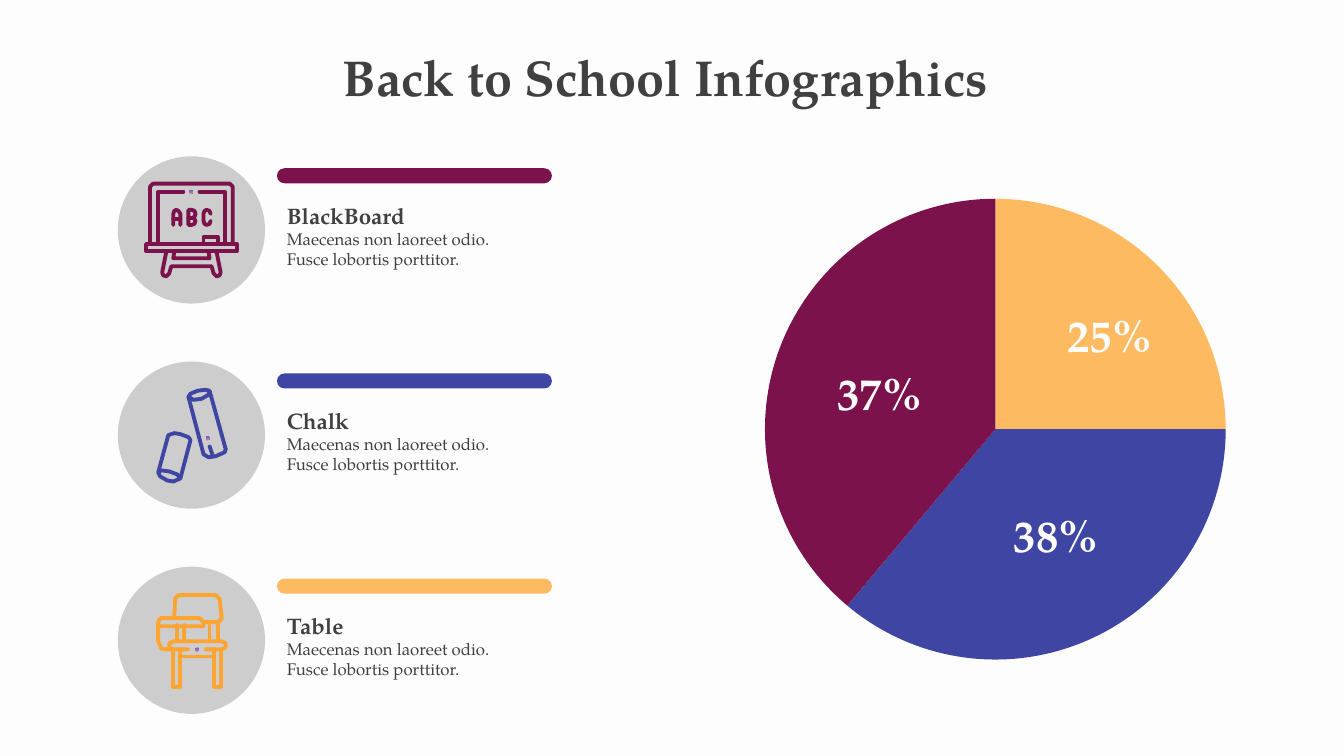
from dataclasses import dataclass

from lxml import etree
from pptx import Presentation
from pptx.dml.color import RGBColor
from pptx.enum.shapes import MSO_SHAPE
from pptx.enum.text import MSO_ANCHOR, PP_ALIGN
from pptx.oxml.ns import qn
from pptx.util import Cm, Pt

OVAL, PILL, PIE = MSO_SHAPE.OVAL, MSO_SHAPE.ROUNDED_RECTANGLE, MSO_SHAPE.PIE
LEFT, CENTER, MIDDLE = PP_ALIGN.LEFT, PP_ALIGN.CENTER, MSO_ANCHOR.MIDDLE


@dataclass(frozen=True)
class Theme:
    font: str = "TeX Gyre Pagella"
    paper: str = "FDFDFD"
    ink: str = "404040"
    badge: str = "BEBEBE"
    plum: str = "7C124C"
    indigo: str = "3E45A2"
    amber: str = "FDA530"
    dot: tuple = ("645CA7", "D77EAD")
    soft: int = 76
    solid: int = 100
    title: int = 36
    percent: int = 32
    heading: int = 16
    body: int = 12
    stroke: float = 2.75


THEME = Theme()
ICON_UNIT = 0.0254  # cm
DOT = 0.1
BADGE = 3.71
BADGE_LEFT, BADGE_TOP, ROW_STEP = 2.97, 3.94, 5.17
TEXT_LEFT = 6.98
PIE_LEFT, PIE_TOP, PIE_SIZE = 19.28, 5.01, 11.61

# Icon strokes are (closed, points), in icon units from the badge centre.
BOARD = [
    (False, [(-41, 12), (-41, -43), (-38, -46), (38, -46), (41, -43), (41, 12)]),
    (False, [(-33, 12), (-33, -38), (-8, -38)]),
    (False, [(8, -38), (33, -38), (33, 12)]),
    (True, [(-45, 14), (45, 14), (45, 21), (-45, 21)]),
    (False, [(12, 12), (12, 7), (26, 7), (26, 12)]),
    (False, [(-25, 22), (-29, 42), (-28, 45), (-25, 46), (-22, 43), (-20, 36),
             (20, 36), (22, 43), (25, 46), (28, 45), (29, 42), (25, 22)]),
    (False, [(-17, 22), (-18, 28), (18, 28), (17, 22)]),
]
LETTER_A = [
    (False, [(-18, -5), (-18, -16), (-17, -19), (-15, -20), (-13, -19), (-11, -16), (-11, -5)]),
    (False, [(-18, -11), (-11, -11)]),
]
LETTER_B = [
    (True, [(-3, -5), (-3, -20), (0, -20), (3, -19), (4, -16), (3, -13), (1, -12),
            (3, -11), (4, -9), (3, -6), (0, -5)]),
    (False, [(-3, -12), (1, -12)]),
]
LETTER_C = [
    (False, [(19, -16), (18, -19), (15, -20), (13, -19), (12, -16), (12, -9),
             (13, -6), (15, -5), (18, -6), (19, -9)]),
]
LONG_CHALK = [
    (True, [(-3, -38), (-1, -41), (6, -44), (14, -45), (18, -44), (17, -40), (10, -36), (2, -35)]),
    (False, [(-3, -38), (12, 19), (17, 22), (24, 21), (33, 17), (34, 14), (18, -44)]),
    (False, [(18, 11), (21, 20)]),
]
SHORT_CHALK = [
    (True, [(-33, 37), (-30, 35), (-22, 36), (-14, 39), (-11, 43), (-18, 46), (-24, 45), (-31, 41)]),
    (False, [(-33, 37), (-23, 0), (-17, -2), (-11, -1), (-3, 2), (-1, 5), (-11, 43)]),
]
CHAIR = [
    (False, [(-17, -24), (-16, -42), (-12, -45), (24, -45), (28, -41), (30, -22), (27, -18), (12, -18)]),
    (True, [(-33, -18), (-31, -22), (8, -22), (12, -18), (12, -14), (-33, -14)]),
    (False, [(-33, -14), (-33, 1), (-30, 8), (-25, 9), (-20, 9)]),
    (False, [(-3, 9), (-18, 9), (-22, 7), (-22, 3), (-18, 1), (30, 1), (34, 3), (34, 7), (30, 9), (14, 9)]),
    (False, [(-10, 16), (22, 16)]),
    *[(False, [(x, -15), (x, 1)]) for x in (-14, -7, 18, 26)],
    *[(False, [(x, 9), (x, 46), (x + 7, 46), (x + 7, 9)]) for x in (-18, 22)],
]

# Heading, bar colour, bar opacity, icon parts, dot position
ROWS = [
    ("BlackBoard", THEME.plum, THEME.solid, [BOARD, LETTER_A, LETTER_B, LETTER_C], (0, -38)),
    ("Chalk", THEME.indigo, THEME.solid, [LONG_CHALK, SHORT_CHALK], (16, 3)),
    ("Table", THEME.amber, THEME.soft, [CHAIR], (6, 9)),
]
# Label, colour, opacity, start and end angle, label left and top
SLICES = [
    ("25%", THEME.amber, THEME.soft, 270, 0, 25.07, 7.47),
    ("38%", THEME.indigo, THEME.solid, 0, 130, 23.72, 12.5),
    ("37%", THEME.plum, THEME.solid, 130, 270, 19.28, 8.92),
]


class SlideBuilder:
    def __init__(self, page, theme):
        self.page = page
        self.theme = theme
        fill = page.background.fill
        fill.solid()
        fill.fore_color.rgb = RGBColor.from_string(theme.paper)

    def shape(self, kind, left, top, width, height, color, opacity=100):
        box = self.page.shapes.add_shape(kind, Cm(left), Cm(top), Cm(width), Cm(height))
        box.shadow.inherit = False
        box.line.fill.background()
        box.fill.solid()
        box.fill.fore_color.rgb = RGBColor.from_string(color)
        if opacity < 100:
            tint = box.fill._xPr.find(f".//{qn('a:srgbClr')}")
            etree.SubElement(tint, qn("a:alpha"), val=str(opacity * 1000))
        return box

    def dot(self, center_x, center_y):
        box = self.shape(OVAL, center_x - DOT / 2, center_y - DOT / 2, DOT, DOT, self.theme.dot[0])
        box.fill.gradient()
        box.fill.gradient_angle = 270
        for stop, color in zip(box.fill.gradient_stops, self.theme.dot):
            stop.color.rgb = RGBColor.from_string(color)

    def strokes(self, contours, center_x, center_y, color):
        """Draw open and closed contours as one round-ended outline."""
        builder = self.page.shapes.build_freeform(*contours[0][1][0], scale=Cm(ICON_UNIT))
        for closed, points in contours:
            builder.move_to(*points[0])
            builder.add_line_segments(points[1:], close=closed)
        icon = builder.convert_to_shape(Cm(center_x), Cm(center_y))
        icon.shadow.inherit = False
        icon.fill.background()
        icon.line.color.rgb = RGBColor.from_string(color)
        icon.line.width = Pt(self.theme.stroke)
        outline = icon.line._get_or_add_ln()
        outline.set("cap", "rnd")
        etree.SubElement(outline, qn("a:round"))

    def slice(self, start, end, color, opacity):
        wedge = self.shape(PIE, PIE_LEFT, PIE_TOP, PIE_SIZE, PIE_SIZE, color, opacity)
        for index, angle in enumerate((start, end)):
            wedge.adjustments[index] = angle * 0.6  # 60000 steps per degree

    def text(self, words, left, top, width, height, size, color, bold=True, align=LEFT, before=0):
        box = self.page.shapes.add_textbox(Cm(left), Cm(top), Cm(width), Cm(height))
        frame = box.text_frame
        frame.word_wrap = True
        frame.vertical_anchor = MIDDLE
        frame.margin_left = frame.margin_right = Cm(0.25)
        frame.margin_top = frame.margin_bottom = Cm(0.25)
        frame.text = words
        para = frame.paragraphs[0]
        para.alignment = align
        para.space_before = Pt(before)
        font = para.runs[0].font
        font.name, font.size, font.bold = self.theme.font, Pt(size), bold
        font.color.rgb = RGBColor.from_string(color)


def add_row(builder, index, row):
    heading, color, opacity, parts, (dot_x, dot_y) = row
    top = BADGE_TOP + index * ROW_STEP
    center_x, center_y = BADGE_LEFT + BADGE / 2, top + BADGE / 2
    builder.shape(OVAL, BADGE_LEFT, top, BADGE, BADGE, THEME.badge, THEME.soft)
    for part in parts:
        builder.strokes(part, center_x, center_y, color)
    builder.dot(center_x + dot_x * ICON_UNIT, center_y + dot_y * ICON_UNIT)
    bar = builder.shape(PILL, TEXT_LEFT, top + 0.3, 6.93, 0.38, color, opacity)
    bar.adjustments[0] = 0.5
    builder.text(heading, TEXT_LEFT, top + 0.98, 5.94, 1.02, THEME.heading, THEME.ink)
    builder.text("Maecenas non laoreet odio. Fusce lobortis porttitor.", TEXT_LEFT, top + 1.63,
                 5.94, 1.4, THEME.body, THEME.ink, bold=False, before=6)


def main():
    deck = Presentation()
    deck.slide_width, deck.slide_height = Cm(33.87), Cm(19.05)
    builder = SlideBuilder(deck.slides.add_slide(deck.slide_layouts[6]), THEME)
    builder.text("Back to School Infographics", 0, 1.02, 33.55, 1.8, THEME.title, THEME.ink, align=CENTER)
    for index, row in enumerate(ROWS):
        add_row(builder, index, row)
    for _, color, opacity, start, end, _, _ in SLICES:
        builder.slice(start, end, color, opacity)
    for label, _, _, _, _, left, top in SLICES:
        builder.text(label, left, top, 5.79, 1.93, THEME.percent, THEME.paper, align=CENTER)
    deck.save("out.pptx")


if __name__ == "__main__":
    main()
